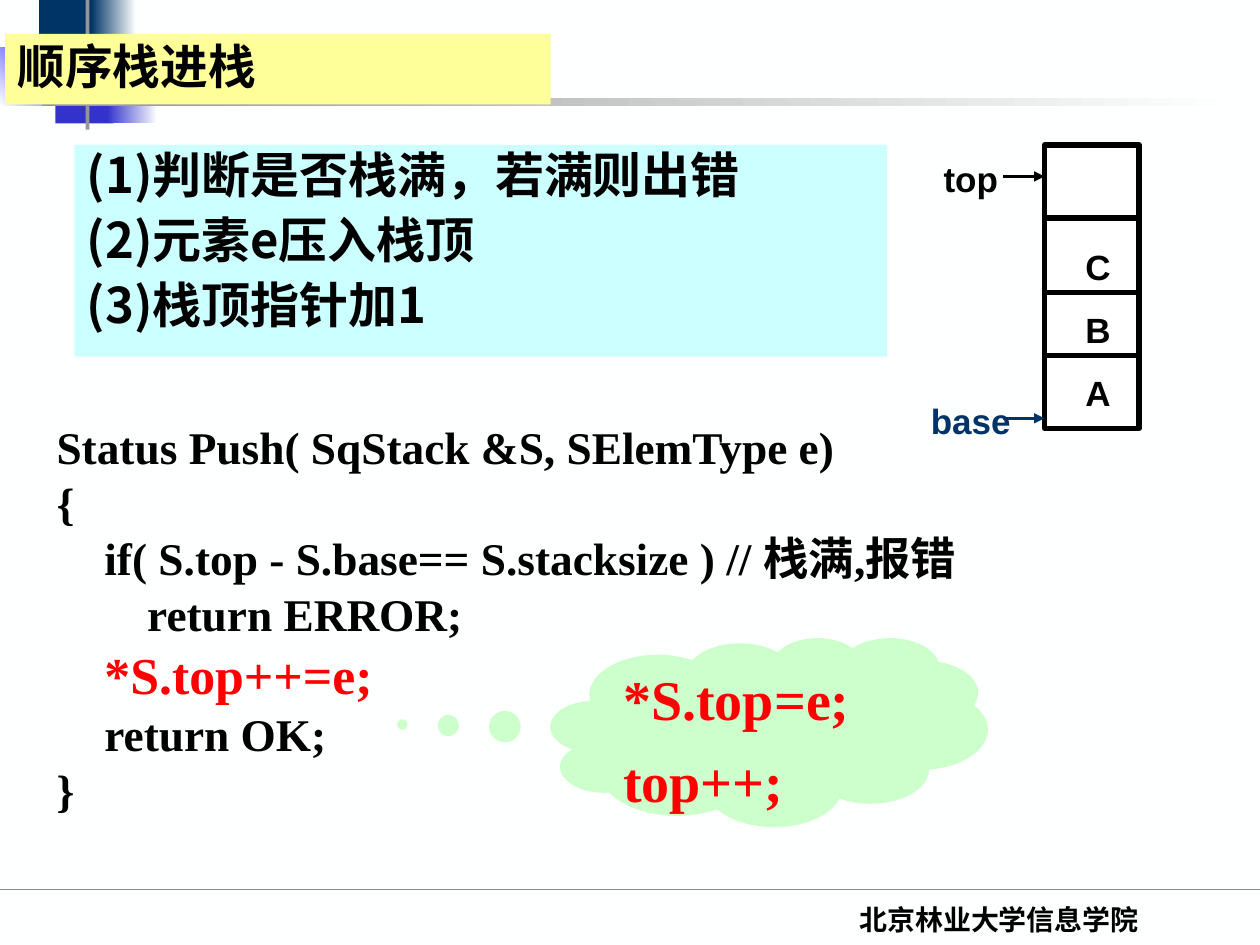
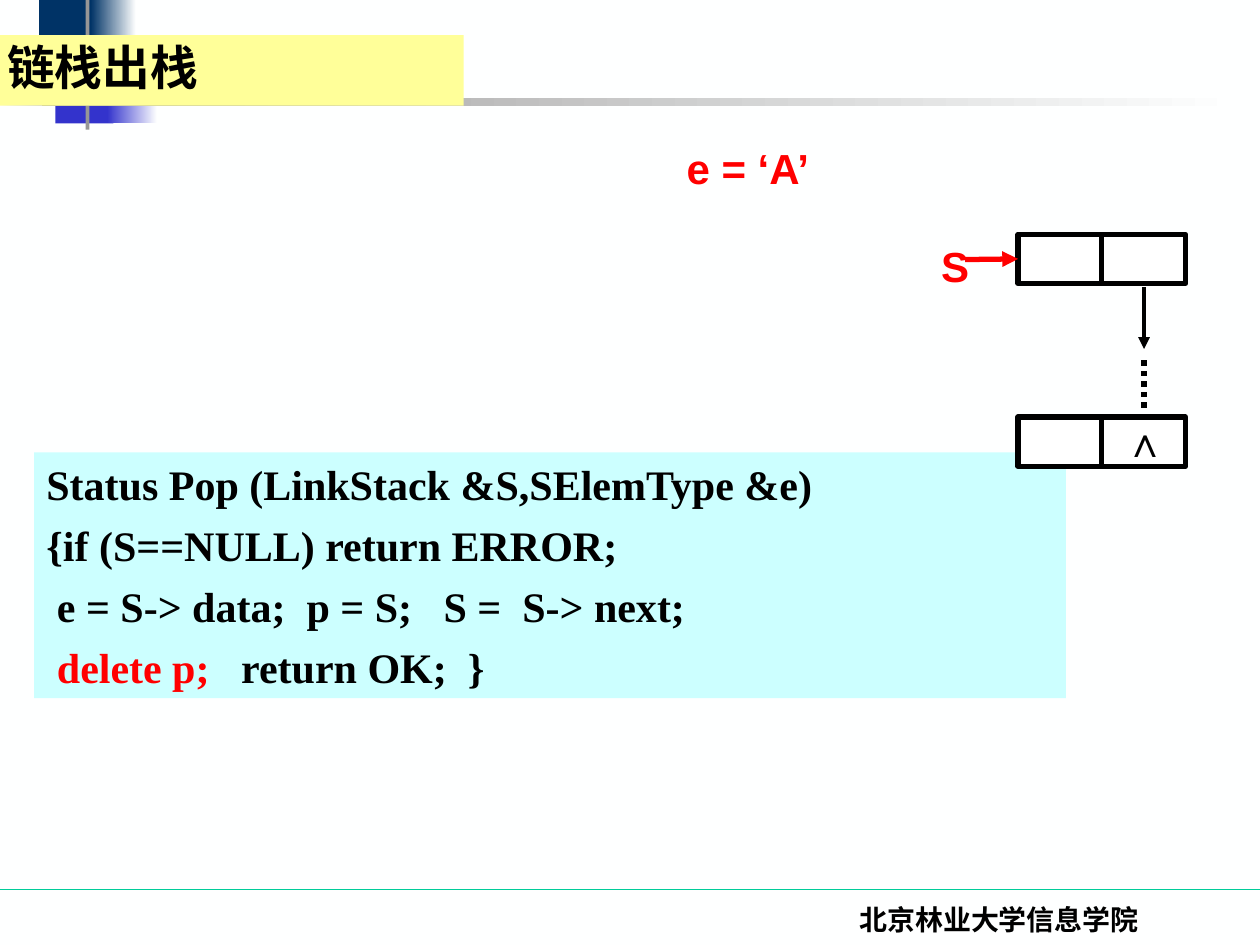
from lxml import etree
from pptx import Presentation
from pptx.dml.color import RGBColor
from pptx.enum.dml import MSO_LINE
from pptx.enum.shapes import MSO_CONNECTOR, MSO_SHAPE
from pptx.enum.text import MSO_ANCHOR, PP_ALIGN
from pptx.oxml.ns import qn
from pptx.util import Inches, Pt

RECT, CLOUD = MSO_SHAPE.RECTANGLE, MSO_SHAPE.CLOUD_CALLOUT
STRAIGHT, DOTTED = MSO_CONNECTOR.STRAIGHT, MSO_LINE.ROUND_DOT
LEFT, CENTER = PP_ALIGN.LEFT, PP_ALIGN.CENTER
TOP, MIDDLE = MSO_ANCHOR.TOP, MSO_ANCHOR.MIDDLE

PAPER, WHITE, BLACK, RED = "FEFFFF", "FFFFFF", "000000", "FF0000"
NAVY, INDIGO, BLUE, GRAY, GREEN = "003366", "3333CC", "0000FF", "969696", "00CC99"
YELLOW, AQUA, MINT = "FFFF99", "CCFFFF", "CCFFCC"
SERIF, SANS, HAN = "Times New Roman", "Arial", "Noto Sans CJK SC"
rgb = RGBColor.from_string


def add_box(slide, place, paragraphs=(), fill=None, border=None, geometry=RECT,
            font=SERIF, align=LEFT, anchor=TOP, spacing=1.0, hanging=0):
    """Box with optional fill, border and bold text; a run is (text, size, colour)."""
    place = [Inches(v) for v in place]
    if fill:
        box = slide.shapes.add_shape(geometry, *place)
        box.shadow.inherit = False
        if isinstance(fill, tuple):
            start, end, angle = fill
            box.fill.gradient()
            box.fill.gradient_angle = angle
            for stop, colour in zip(box.fill.gradient_stops, (start, end)):
                stop.color.rgb = rgb(colour)
        else:
            box.fill.solid()
            box.fill.fore_color.rgb = rgb(fill)
        if border:
            box.line.color.rgb = rgb(border)
            box.line.width = Pt(3)
        else:
            box.line.fill.background()
    else:
        box = slide.shapes.add_textbox(*place)
    frame = box.text_frame
    frame.word_wrap = True
    frame.vertical_anchor = anchor
    for i, runs in enumerate(paragraphs):
        paragraph = frame.add_paragraph() if i else frame.paragraphs[0]
        paragraph.alignment = align
        paragraph.line_spacing = spacing
        # Space before grows with the largest letters of the line
        paragraph.space_before = Pt(round(0.26 * max(r[1] for r in runs)) if i else 0)
        if hanging:
            props = paragraph._p.get_or_add_pPr()
            props.set("marL", str(Inches(hanging)))
            props.set("indent", str(-Inches(hanging)))
            tabs = etree.SubElement(props, qn("a:tabLst"))
            etree.SubElement(tabs, qn("a:tab"), pos="0", algn="l")
        for text, size, colour in runs:
            run = paragraph.add_run()
            run.text = text
            run.font.size = Pt(size)
            run.font.bold = True
            run.font.color.rgb = rgb(colour)
            run.font.name = font
            etree.SubElement(run._r.get_or_add_rPr(), qn("a:ea"), typeface=HAN)
    return box


def add_line(slide, start, end, colour=BLACK, width=3, arrow=False):
    line = slide.shapes.add_connector(STRAIGHT, *[Inches(v) for v in (*start, *end)])
    line.line.color.rgb = rgb(colour)
    line.line.width = Pt(width)
    if arrow:
        etree.SubElement(line.line._get_or_add_ln(), qn("a:tailEnd"), type="triangle")
    etree.SubElement(line._element.spPr, qn("a:effectLst"))
    return line


prs = Presentation()
prs.slide_width, prs.slide_height = Inches(10), Inches(7.5)
backdrop = prs.slide_master.background.fill
backdrop.solid()
backdrop.fore_color.rgb = rgb(PAPER)

# Shared frame: corner blocks, rules, footer and title band
corner_blocks = [
    ((0.31, 0, 0.48, 0.52), NAVY),
    ((0.72, 0, 0.36, 0.52), (NAVY, PAPER, 0)),
    ((0.44, 0.46, 0.46, 0.52), INDIGO),
    ((0.85, 0.46, 0.4, 0.52), (INDIGO, PAPER, 0)),
    ((0, 0.38, 0.6, 0.46), (PAPER, BLUE, 45)),
    ((0.68, 0, 0.03, 1.03), GRAY),
    ((0.33, 0.78, 9.51, 0.06), (GRAY, PAPER, 0)),
]
titles = [
    ("顺序栈进栈", (0.04, 0.27, 4.33, 0.56)),
    ("链栈出栈", (-0.04, 0.28, 3.72, 0.56)),
]
slides = []
for title, band in titles:
    slide = prs.slides.add_slide(prs.slide_layouts[6])
    add_line(slide, (0, 7.06), (10, 7.06), GREEN, 0.75)
    for place, fill in corner_blocks:
        add_box(slide, place, fill=fill)
    add_box(slide, (5.86, 7.11, 4.14, 0.39), [[("北京林业大学信息学院", 16, BLACK)]],
            align=CENTER)
    add_box(slide, band, [[(title, 27.2, BLACK)]], YELLOW, font=HAN,
            anchor=MIDDLE, spacing=0.9)
    slides.append(slide)
push_slide, pop_slide = slides

# Push: steps
steps = ["(1)判断是否栈满，若满则出错", "(2)元素e压入栈顶", "(3)栈顶指针加1"]
add_box(push_slide, (0.59, 1.15, 6.45, 1.68), [[(step, 28, BLACK)] for step in steps],
        AQUA, font=HAN, spacing=0.9, hanging=0.67)

# Push: code
push_code = [
    [("Status Push( SqStack &S, SElemType e)", 25.9, BLACK)],
    [("{", 25.9, BLACK)],
    [("\tif( S.top - S.base== S.stacksize ) // 栈满,报错", 25.9, BLACK)],
    [("        return ERROR;", 25.9, BLACK)],
    [("\t", 25.9, BLACK), ("*S.top++=e;", 29.6, RED)],
    [("\treturn OK;", 25.9, BLACK)],
    [("}", 25.9, BLACK)],
]
add_box(push_slide, (0.35, 3.36, 9.45, 3.2), push_code, spacing=0.8, hanging=0.38)

# Push: cloud that splits the red statement in two
cloud = add_box(push_slide, (4.37, 5.06, 3.47, 1.5),
                [[("*S.top=e;", 32, RED)], [("top++;", 32, RED)]], MINT, geometry=CLOUD)
cloud.adjustments[0], cloud.adjustments[1] = -0.839, -0.039
cloud.text_frame.paragraphs[0].line_spacing = 0.9

# Push: stack with its elements and pointers
stack_left, stack_right = 8.29, 9.04
add_box(push_slide, (stack_left, 1.15, 0.75, 2.25), fill=WHITE, border=BLACK)
for y in (1.73, 2.32, 2.82):
    add_line(push_slide, (stack_left, y), (stack_right, y))
for i, element in enumerate("CBA"):
    add_box(push_slide, (8.38, 1.9 + 0.5 * i, 0.67, 0.44), [[(element, 20, BLACK)]],
            font=SANS, align=CENTER)
for pointer, y, colour in (("top", 1.4, BLACK), ("base", 3.32, NAVY)):
    add_line(push_slide, (7.96, y), (stack_left, y), colour, 1.5, arrow=True)
    add_box(push_slide, (7.04, y - 0.2, 1.33, 0.44), [[(pointer, 20, colour)]],
            font=SANS, align=CENTER)

# Pop: code
pop_code = [
    [("Status Pop (LinkStack &S,SElemType &e)", 24, BLACK)],
    [("{if (S==NULL) return ERROR;", 24, BLACK)],
    [(" e = S-> data;  p = S;   S =  S-> next;", 24, BLACK)],
    [(" delete p;", 24, RED), ("   return OK;  }", 24, BLACK)],
]
add_box(pop_slide, (0.27, 3.59, 8.19, 1.95), pop_code, AQUA)

# Pop: first and last node of the linked stack
nodes = []
for y in (1.86, 3.31):
    node = add_box(pop_slide, (8.08, y, 1.33, 0.39), fill=WHITE, border=BLACK)
    divider = add_line(pop_slide, (8.74, y), (8.74, y + 0.39))
    divider.begin_connect(node, 0)
    divider.end_connect(node, 2)
    nodes.append(node)
add_line(pop_slide, (9.08, 2.28), (9.08, 2.77), width=2.25, arrow=True)
omitted_nodes = add_line(pop_slide, (9.08, 2.86), (9.08, 3.25))
omitted_nodes.line.dash_style = DOTTED

# Pop: head pointer and labels
head_pointer = add_line(pop_slide, (7.66, 2.06), (8.08, 2.06), RED, arrow=True)
head_pointer.end_connect(nodes[0], 1)
labels = [
    ("∧", (8.83, 3.25, 0.5, 0.5), BLACK),
    ("e = ‘A’", (5.06, 1.08, 1.75, 0.5), RED),
    ("S", (7.33, 1.86, 0.5, 0.5), RED),
]
for label, place, colour in labels:
    add_box(pop_slide, place, [[(label, 24, colour)]], font=SANS, align=CENTER)

prs.save("out.pptx")
